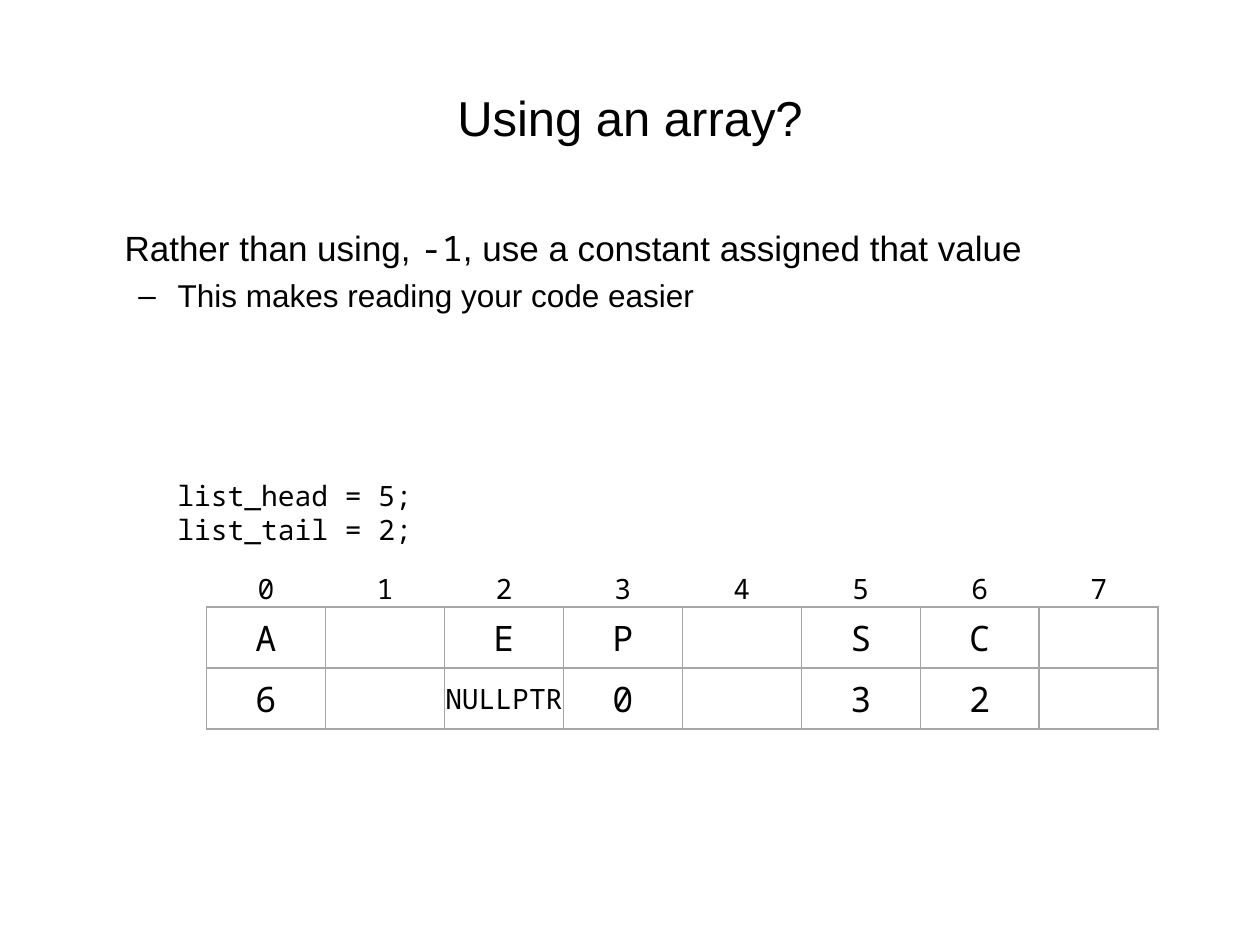
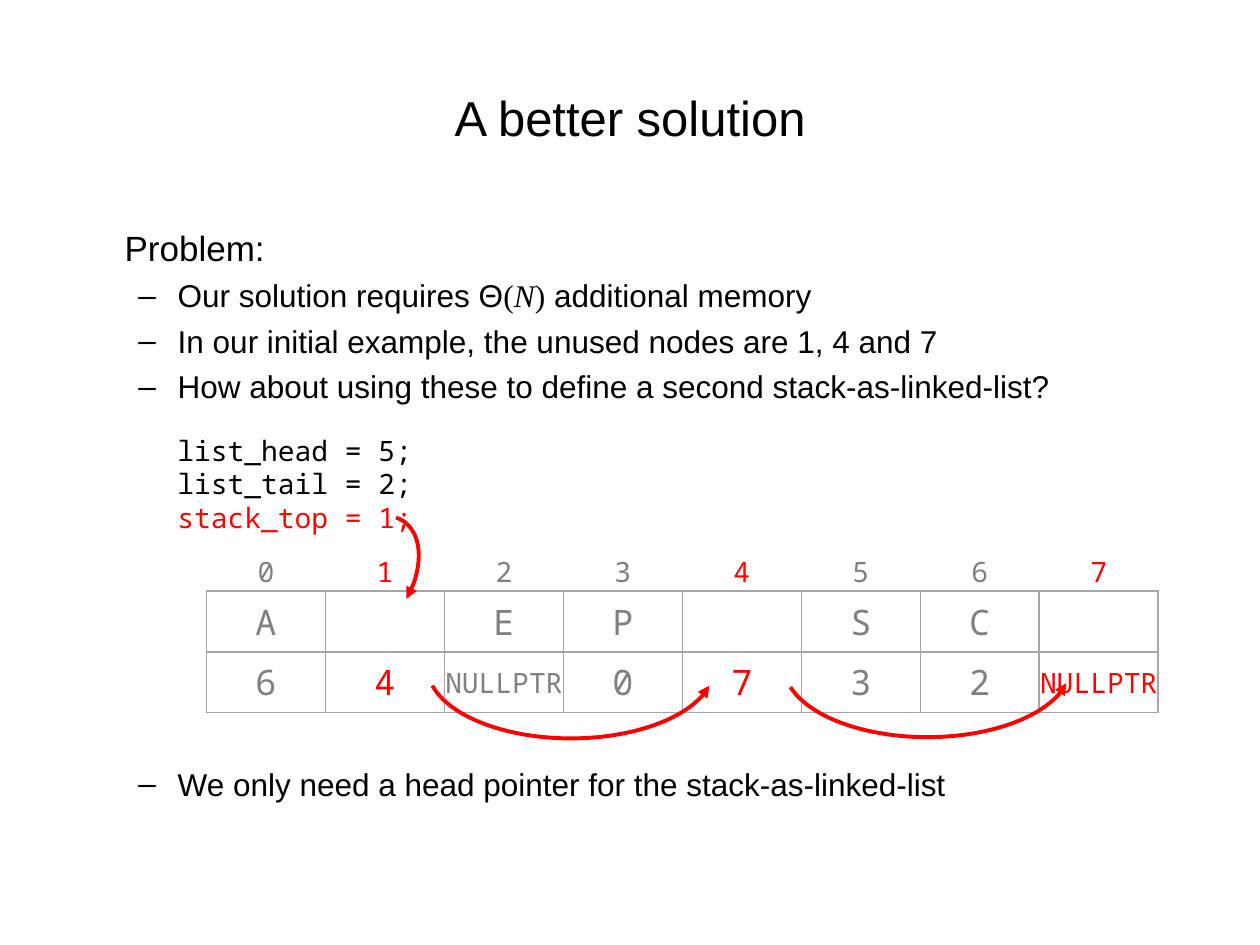
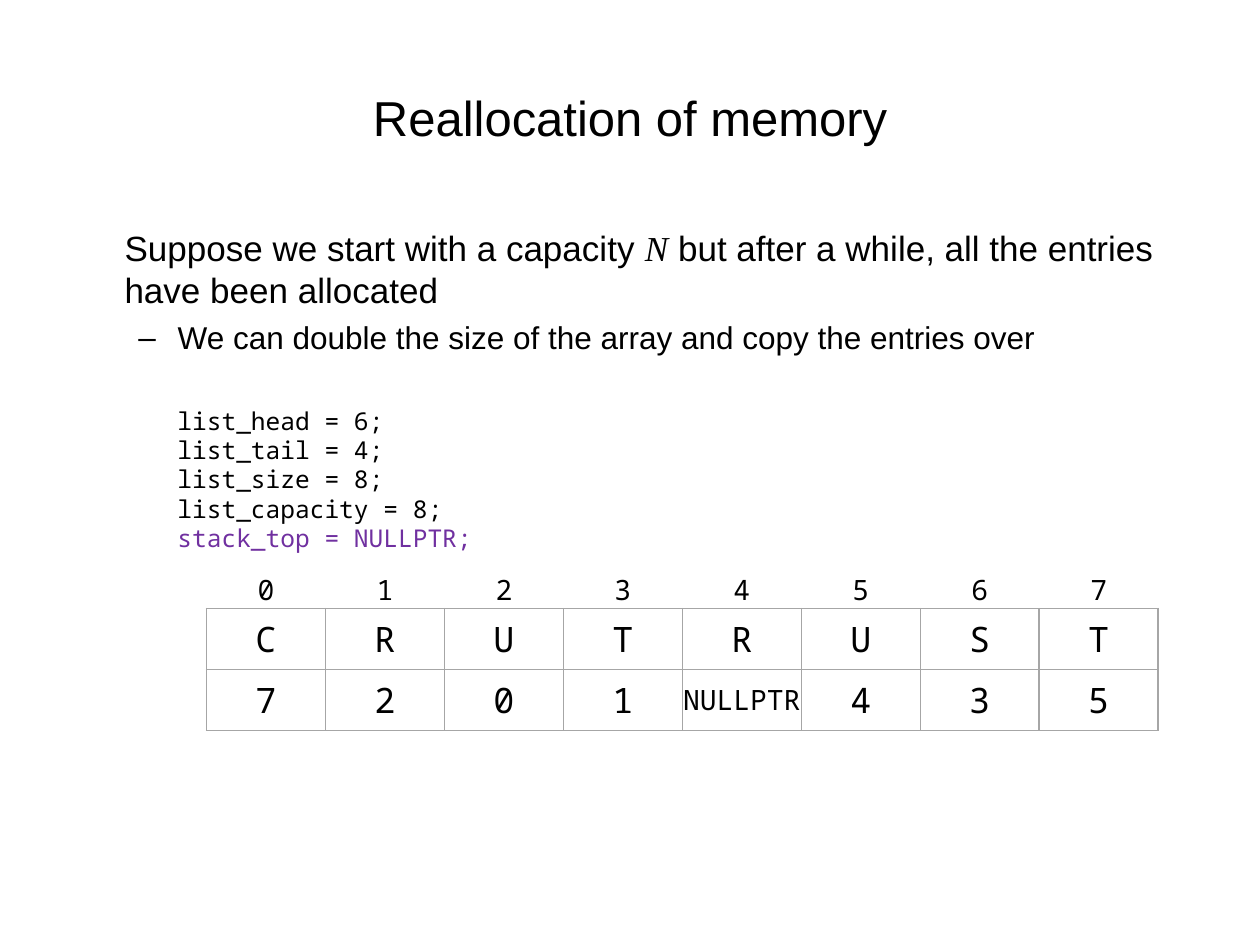
from dataclasses import dataclass
from typing import Any

from lxml.etree import SubElement
from pptx import Presentation
from pptx.dml.color import RGBColor
from pptx.enum.shapes import MSO_SHAPE
from pptx.enum.text import MSO_ANCHOR, MSO_AUTO_SIZE, PP_ALIGN
from pptx.oxml.ns import qn
from pptx.util import Pt

# Shared look
BLACK = RGBColor(0x00, 0x00, 0x00)
GREY = RGBColor(0x80, 0x80, 0x80)
RED = RGBColor(0xFF, 0x00, 0x00)
PURPLE = RGBColor(0x70, 0x30, 0xA0)
BORDER = RGBColor(0xA6, 0xA6, 0xA6)
SANS, MONO, MATH = "Arial", "Noto Sans Mono", "Times New Roman"
NO_STYLE = "{2D5ABB26-0587-4C30-8999-92F81FD0307C}"

# Array grid, in points
ARRAY_LEFT, COLUMN_WIDTH = 118, 68
ROW_HEIGHTS = (21.6, 34.8, 34.8)
CODE_LEFT = 94.3


@dataclass(frozen=True)
class Span:
    text: str
    font: str = SANS
    italic: bool = False


@dataclass(frozen=True)
class Line:
    spans: tuple[Span, ...]
    bulleted: bool = True
    space_before: float = 4.4


@dataclass(frozen=True)
class Code:
    top: float
    width: float
    height: float
    size: int
    lines: tuple[str, ...]
    stack_color: RGBColor = BLACK


@dataclass(frozen=True)
class Array:
    top: float
    values: tuple[str, ...]
    links: tuple[str, ...]
    used_color: RGBColor = BLACK
    free_slots: tuple[int, ...] = ()


@dataclass(frozen=True)
class Arrow:
    left: float
    top: float
    width: float
    height: float
    start: float
    end: float
    tip: str
    rotation: float = 180


@dataclass(frozen=True)
class Page:
    title: str
    body: tuple[Line, ...]
    array: Array
    code: Code
    arrows: tuple[Arrow, ...] = ()


def point(text: str, space_before: float = 4.4) -> Line:
    return Line((Span(text),), space_before=space_before)


def apply(target: Any, values: dict[str, Any]) -> None:
    for name, value in values.items():
        setattr(target, name, value)


def add_run(paragraph: Any, text: str, size: float, color: RGBColor,
            font: str = SANS, italic: bool = False) -> None:
    run = paragraph.add_run()
    run.text = text
    apply(run.font, {"name": font, "size": Pt(size), "italic": italic, "bold": False})
    run.font.color.rgb = color


def next_paragraph(frame: Any, index: int) -> Any:
    return frame.add_paragraph() if index else frame.paragraphs[0]


def add_title(slide: Any, text: str) -> None:
    title = slide.shapes.title
    apply(title, {"left": Pt(36), "top": Pt(21.6), "width": Pt(648), "height": Pt(90)})
    title.text_frame.vertical_anchor = MSO_ANCHOR.MIDDLE
    heading = title.text_frame.paragraphs[0]
    heading.alignment = PP_ALIGN.CENTER
    add_run(heading, text, 28, BLACK)


def add_body(slide: Any, lines: tuple[Line, ...]) -> None:
    frame = slide.shapes.add_textbox(Pt(36), Pt(126), Pt(648), Pt(356.4)).text_frame
    frame.word_wrap = True
    for index, line in enumerate(lines):
        paragraph = next_paragraph(frame, index)
        paragraph.space_before = Pt(line.space_before)
        properties = paragraph._p.get_or_add_pPr()
        margin, indent = (58.5, -22.5) if line.bulleted else (28.1, 0)
        properties.set("marL", str(Pt(margin)))
        properties.set("indent", str(Pt(indent)))
        if line.bulleted:
            SubElement(properties, qn("a:buFont")).set("typeface", SANS)
            SubElement(properties, qn("a:buChar")).set("char", "–")
        for span in line.spans:
            add_run(paragraph, span.text, 18 if line.bulleted else 20, BLACK,
                    span.font, span.italic)


def add_code(slide: Any, code: Code) -> None:
    box = slide.shapes.add_textbox(Pt(CODE_LEFT), Pt(code.top), Pt(code.width), Pt(code.height))
    frame = box.text_frame
    apply(frame, {"word_wrap": True, "auto_size": MSO_AUTO_SIZE.SHAPE_TO_FIT_TEXT})
    for index, statement in enumerate(code.lines):
        paragraph = next_paragraph(frame, index)
        paragraph.line_spacing = Pt(1.2 * code.size)
        color = code.stack_color if statement.startswith("stack") else BLACK
        add_run(paragraph, statement, code.size, color, MONO)


def add_borders(cell: Any, sides: str) -> None:
    properties = cell._tc.get_or_add_tcPr()
    for position, side in enumerate(sides):
        edge = properties.makeelement(qn(f"a:ln{side}"), {"w": str(Pt(1))})
        fill = SubElement(edge, qn("a:solidFill"))
        SubElement(fill, qn("a:srgbClr")).set("val", str(BORDER))
        properties.insert(position, edge)


def add_array(slide: Any, array: Array) -> None:
    slots = len(array.values)
    rows = (tuple(str(slot) for slot in range(slots)), array.values, array.links)
    table = slide.shapes.add_table(
        len(rows), slots, Pt(ARRAY_LEFT), Pt(array.top),
        Pt(slots * COLUMN_WIDTH), Pt(sum(ROW_HEIGHTS))).table
    apply(table, {"first_row": False, "horz_banding": False})
    table._tbl.tblPr.find(qn("a:tableStyleId")).text = NO_STYLE
    for column in table.columns:
        column.width = Pt(COLUMN_WIDTH)
    for row_index, (texts, height) in enumerate(zip(rows, ROW_HEIGHTS)):
        table.rows[row_index].height = Pt(height)
        for slot, text in enumerate(texts):
            cell = table.cell(row_index, slot)
            apply(cell, {"margin_left": 0, "margin_right": 0, "margin_top": 0,
                         "margin_bottom": 0, "vertical_anchor": MSO_ANCHOR.MIDDLE})
            cell.fill.background()
            add_borders(cell, "LRTB" if row_index else "B")
            if text:
                paragraph = cell.text_frame.paragraphs[0]
                paragraph.alignment = PP_ALIGN.CENTER
                size = 16 if row_index == 0 or text == "NULLPTR" else 20
                color = RED if slot in array.free_slots else array.used_color
                add_run(paragraph, text, size, color, MONO)


def add_arrow(slide: Any, arrow: Arrow) -> None:
    arc = slide.shapes.add_shape(MSO_SHAPE.ARC, Pt(arrow.left), Pt(arrow.top),
                                 Pt(arrow.width), Pt(arrow.height))
    arc.adjustments[0], arc.adjustments[1] = arrow.start, arrow.end
    arc.rotation = arrow.rotation
    arc.shadow.inherit = False
    arc.fill.background()
    arc.line.color.rgb = RED
    arc.line.width = Pt(2.25)
    SubElement(arc.line._get_or_add_ln(), qn(f"a:{arrow.tip}")).set("type", "triangle")


PAGES = (
    Page(
        "Using an array?",
        (Line((Span("Rather than using, "), Span("-1", MONO),
               Span(", use a constant assigned that value")), bulleted=False),
         point("This makes reading your code easier")),
        Array(325.4, ("A", "", "E", "P", "", "S", "C", ""),
              ("6", "", "NULLPTR", "0", "", "3", "2", "")),
        Code(270, 172, 46, 16, ("list_head = 5;", "list_tail = 2;")),
    ),
    Page(
        "A better solution",
        (Line((Span("Problem:"),), bulleted=False),
         Line((Span("Our solution requires Θ"), Span("(", MATH), Span("N", MATH, True),
               Span(")", MATH), Span(" additional memory"))),
         point("In our initial example, the unused nodes are 1, 4 and 7"),
         point("How about using these to define a second stack-as-linked-list?"),
         point("We only need a head pointer for the stack-as-linked-list", 205.6)),
        Array(316.1, ("A", "", "E", "P", "", "S", "C", ""),
              ("6", "4", "NULLPTR", "0", "7", "3", "2", "NULLPTR"), GREY, (1, 4, 7)),
        Code(244, 172, 65.5, 16,
             ("list_head = 5;", "list_tail = 2;", "stack_top = 1;"), RED),
        (Arrow(244.1, 339.8, 164.2, 82.1, 112.7, 211.31, "headEnd"),
         Arrow(447.8, 339.1, 164.2, 82.1, 112.39, 210.57, "headEnd"),
         Arrow(181.4, 290.9, 52.6, 82.1, 158.14, 209.42, "tailEnd", 33.7)),
    ),
    Page(
        "Reallocation of memory",
        (Line((Span("Suppose we start with a capacity "), Span("N", MATH, True),
               Span(" but after a while, all the entries have been allocated")),
              bulleted=False),
         point("We can double the size of the array and copy the entries over")),
        Array(326.2, tuple("CRUTRUST"), ("7", "2", "0", "1", "NULLPTR", "4", "3", "5")),
        Code(228.2, 215.3, 92.2, 14,
             ("list_head = 6;", "list_tail = 4;", "list_size = 8;",
              "list_capacity = 8;", "stack_top = NULLPTR;"), PURPLE),
    ),
)


def main() -> None:
    deck = Presentation()
    apply(deck, {"slide_width": Pt(720), "slide_height": Pt(540)})
    title_only = deck.slide_layouts[5]
    for page in PAGES:
        slide = deck.slides.add_slide(title_only)
        add_title(slide, page.title)
        add_body(slide, page.body)
        add_array(slide, page.array)
        add_code(slide, page.code)
        for arrow in page.arrows:
            add_arrow(slide, arrow)
    deck.save("out.pptx")


if __name__ == "__main__":
    main()
